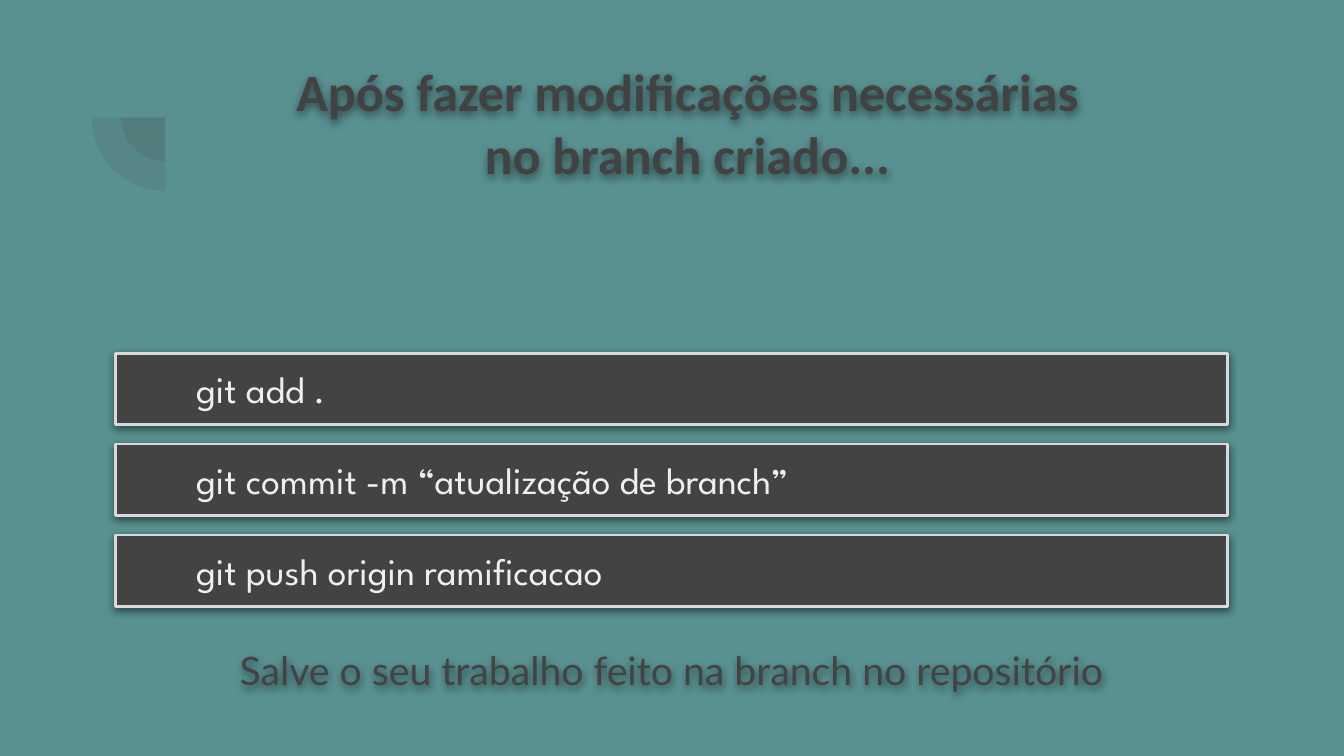
from lxml.etree import SubElement
from pptx import Presentation
from pptx.dml.color import RGBColor
from pptx.enum.shapes import MSO_SHAPE as Shape
from pptx.enum.text import MSO_ANCHOR as Anchor, MSO_AUTO_SIZE as AutoSize, PP_ALIGN as Align
from pptx.oxml.ns import qn
from pptx.util import Pt

TEAL, DARK, BAR = "599191", "424242", "434343"
BORDER, COMMAND_TEXT = "D9D9D9", "EFEFEF"
LEFT, WIDTH, HEIGHT = 62, 595.5, 38.2
FIRST_TOP, STEP = 189.2, 48.75
MARGIN = 7.2
PIE_CENTER = (88.5, 63)
COMMANDS = ["git add .", "git commit -m “atualização de branch”", "git push origin ramificacao"]


def paint(color_format, color):
    color_format.rgb = RGBColor.from_string(color)


def paint_fill(fill, color):
    fill.solid()
    paint(fill.fore_color, color)


def place(shape, left, top, width, height):
    shape.left, shape.top = Pt(left), Pt(top)
    shape.width, shape.height = Pt(width), Pt(height)


def add_shadow(shape):
    """Give a soft black shadow just below the shape, or below its text if it has no fill."""
    shape.shadow.inherit = False
    effects = shape._element.spPr.find(qn("a:effectLst"))
    shadow = SubElement(effects, qn("a:outerShdw"), blurRad=str(Pt(4.5)), dist=str(Pt(1.5)),
                        dir="5400000", algn="bl", rotWithShape="0")
    black = SubElement(shadow, qn("a:srgbClr"), val="000000")
    SubElement(black, qn("a:alpha"), val="50000")


def write(shape, text, font_name, size, color, align, anchor, bold=False):
    frame = shape.text_frame
    frame.word_wrap = True
    frame.auto_size = AutoSize.NONE
    frame.vertical_anchor = anchor
    frame.margin_left = frame.margin_right = Pt(MARGIN)
    frame.margin_top = frame.margin_bottom = Pt(MARGIN)
    paragraph = frame.paragraphs[0]
    paragraph.alignment = align
    paragraph.space_before = Pt(0)
    run = paragraph.add_run()
    run.text = text
    run.font.name, run.font.size, run.font.bold = font_name, Pt(size), bold
    paint(run.font.color, color)
    return paragraph


def set_indent(paragraph, left):
    properties = paragraph._p.get_or_add_pPr()
    properties.set("marL", str(Pt(left)))
    properties.set("indent", "0")
    return properties


def add_quarter_pie(slide, diameter):
    center_x, center_y = PIE_CENTER
    pie = slide.shapes.add_shape(Shape.PIE, Pt(center_x - diameter / 2), Pt(center_y - diameter / 2),
                                 Pt(diameter), Pt(diameter))
    pie.adjustments[0], pie.adjustments[1] = 108, 162
    pie.rotation = 270
    pie.shadow.inherit = False
    pie.line.fill.background()
    paint_fill(pie.fill, DARK)
    color = pie._element.spPr.find(qn("a:solidFill"))[0]
    SubElement(color, qn("a:alpha"), val="13000")


def add_command(slide, text, top):
    bar = slide.shapes.add_shape(Shape.RECTANGLE, Pt(LEFT), Pt(top), Pt(WIDTH), Pt(HEIGHT))
    paint_fill(bar.fill, BAR)
    paint(bar.line.color, BORDER)
    bar.line.width = Pt(1.5)
    add_shadow(bar)
    paragraph = write(bar, text, "League Spartan", 20, COMMAND_TEXT, Align.LEFT, Anchor.MIDDLE)
    set_indent(paragraph, 36)


def fill_title(title):
    place(title, 151.2, 24.5, 434, 59)
    write(title, "Após fazer modificações necessárias no branch criado...",
          "Calibri", 28, DARK, Align.CENTER, Anchor.TOP, bold=True)
    add_shadow(title)


def fill_body(body):
    place(body, LEFT, FIRST_TOP + len(COMMANDS) * STEP, WIDTH, HEIGHT)
    paragraph = write(body, "Salve o seu trabalho feito na branch no repositório",
                      "Lato", 21, BAR, Align.CENTER, Anchor.TOP)
    paragraph.line_spacing = 1.15
    paragraph.space_after = Pt(16)
    SubElement(set_indent(paragraph, 0), qn("a:buNone"))
    add_shadow(body)


def main():
    presentation = Presentation()
    presentation.slide_width, presentation.slide_height = Pt(720), Pt(405)
    slide = presentation.slides.add_slide(presentation.slide_layouts[1])
    paint_fill(slide.background.fill, TEAL)
    for diameter in (47, 78.5):
        add_quarter_pie(slide, diameter)
    fill_title(slide.shapes.title)
    for row, command in enumerate(COMMANDS):
        add_command(slide, command, FIRST_TOP + row * STEP)
    fill_body(slide.placeholders[1])
    presentation.save("out.pptx")


if __name__ == "__main__":
    main()
